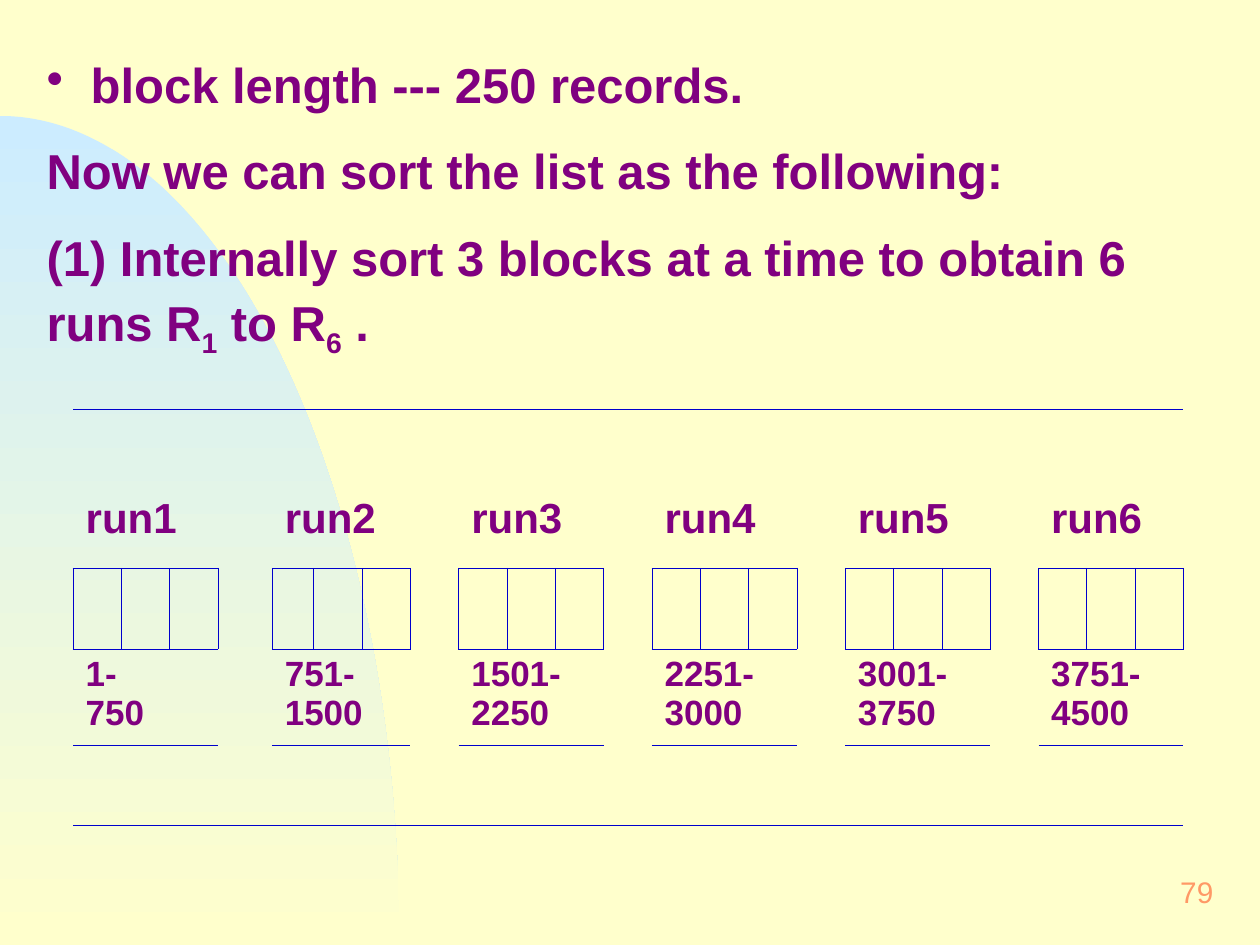
from lxml import etree
from math import cos, pi, sin
from pptx import Presentation
from pptx.dml.color import RGBColor
from pptx.enum.text import MSO_ANCHOR, PP_ALIGN
from pptx.oxml.ns import qn
from pptx.util import Inches, Pt

MIDDLE, TOP = MSO_ANCHOR.MIDDLE, MSO_ANCHOR.TOP
LEFT, RIGHT = PP_ALIGN.LEFT, PP_ALIGN.RIGHT
FONT = "Arial"
COLORS = {"page": "FFFFCC", "sky": "CCECFF", "text": "800080",
          "number": "FF9966", "line": "0000CC"}
W, H = 10, 7.5
RUNS = 6
BLOCKS = 3                      # blocks in each run
STEP = BLOCKS + 1               # one run and the gap after it
COLS = RUNS * STEP - 1
LABEL_ROW, BLOCK_ROW, RANGE_ROW, LAST_ROW = 1, 2, 3, 4
ROW_HEIGHTS = [0.63, 0.63, 0.64, 0.77, 0.63]
RANGES = ["1-\v750", "751-1500", "1501-2250", "2251-3000", "3001-3750", "3751-4500"]


def rgb(name):
    return RGBColor.from_string(COLORS[name])


def style(p, size, color="text", bold=True):
    for r in p.runs:
        r.font.name, r.font.size, r.font.bold = FONT, Pt(size), bold
        r.font.color.rgb = rgb(color)


def add_text_box(slide, left, top, width, height, anchor=TOP):
    tf = slide.shapes.add_textbox(*map(Inches, (left, top, width, height))).text_frame
    tf.word_wrap = True
    tf.vertical_anchor = anchor
    tf.margin_left = tf.margin_right = Inches(0.12)
    tf.margin_top = tf.margin_bottom = Inches(0.06)
    return tf


def add_arc(slide, rx, ry, steps=90):
    """Quarter ellipse centred on the bottom left corner of the slide."""
    arc = [(rx * sin(a), H - ry * cos(a))
           for a in (pi / 2 * i / steps for i in range(steps + 1))]
    builder = slide.shapes.build_freeform(0, Inches(H), scale=1.0)
    builder.add_line_segments([(Inches(x), Inches(y)) for x, y in arc])
    s = builder.convert_to_shape()
    s.shadow.inherit = False
    s.line.fill.background()
    s.fill.gradient()
    s.fill.gradient_angle = 270
    for stop, name, place in zip(s.fill.gradient_stops, ("sky", "page"), (0, 1)):
        stop.color.rgb, stop.position = rgb(name), place


def add_bullet(p, indent):
    pPr = p._p.get_or_add_pPr()
    pPr.set("marL", str(Inches(indent)))
    pPr.set("indent", str(-Inches(indent)))
    color = etree.SubElement(pPr, qn("a:buClr"))
    etree.SubElement(color, qn("a:srgbClr"), val=COLORS["text"])
    etree.SubElement(pPr, qn("a:buChar"), char="•")


def add_body(slide):
    tf = add_text_box(slide, 0.25, 0.33, 9.58, 2.59)
    paragraphs = [
        ["block length --- 250 records."],
        ["Now we can sort the list as the following:"],
        ["(1) Internally sort 3 blocks at a time to obtain 6 runs R", "1", " to R", "6", " ."],
    ]
    for i, parts in enumerate(paragraphs):
        p = tf.paragraphs[0] if i == 0 else tf.add_paragraph()
        p.line_spacing = 1.1
        if i == 0:
            add_bullet(p, 0.35)
        else:
            p.space_before = Pt(12.2)
        for j, part in enumerate(parts):
            r = p.add_run()
            r.text = part
            if j % 2:           # every second part is a subscript
                r.font._element.set("baseline", "-25000")
        style(p, 28)


def cell_edges(row, col):
    in_run = col % STEP < BLOCKS
    if row == 0:
        return "T"
    if row == LABEL_ROW:
        return "B" if in_run else ""
    if row == BLOCK_ROW:
        return "LRTB" if in_run else "LR"
    if row == RANGE_ROW:
        return "T" if in_run else ""
    return "B"


def set_borders(cell, edges):
    tcPr = cell._tc.get_or_add_tcPr()
    for edge in edges:
        ln = etree.SubElement(tcPr, qn("a:ln" + edge), w=str(Pt(0.45)))
        fill = etree.SubElement(ln, qn("a:solidFill"))
        etree.SubElement(fill, qn("a:srgbClr"), val=COLORS["line"])


def fill_run_cell(table, row, col, text, size):
    cell = table.cell(row, col)
    cell.merge(table.cell(row, col + BLOCKS - 1))
    cell.text = text
    for p in cell.text_frame.paragraphs:
        style(p, size)


def add_runs_table(slide):
    width = 8.82
    frame = slide.shapes.add_table(len(ROW_HEIGHTS), COLS, Inches(0.58), Inches(3.25),
                                   Inches(width), Inches(sum(ROW_HEIGHTS)))
    table = frame.table
    table.first_row = table.horz_banding = False
    # "No Style, No Grid"
    style_id = next(frame._element.iter(qn("a:tableStyleId")))
    style_id.text = "{2D5ABB26-0587-4C30-8999-92F81FD0307C}"

    for column in table.columns:
        column.width = Inches(width / COLS)
    # The first gap is wider, at the cost of the block after it
    table.columns[BLOCKS].width = Inches(0.43)
    table.columns[STEP].width = Inches(0.33)
    for row, height in zip(table.rows, ROW_HEIGHTS):
        row.height = Inches(height)

    for row in range(len(ROW_HEIGHTS)):
        for col in range(COLS):
            cell = table.cell(row, col)
            set_borders(cell, cell_edges(row, col))
            cell.fill.background()
            cell.margin_left = cell.margin_right = Inches(0.1)
            cell.margin_top = cell.margin_bottom = Inches(0.05)

    for i, text in enumerate(RANGES):
        fill_run_cell(table, LABEL_ROW, i * STEP, f"run{i + 1}", 24)
        fill_run_cell(table, RANGE_ROW, i * STEP, text, 20)


def add_page_number(slide):
    tf = add_text_box(slide, 7.67, 6.83, 2.08, 0.5, MIDDLE)
    p = tf.paragraphs[0]
    p.text = "79"
    p.alignment = RIGHT
    style(p, 17, "number", bold=False)


def main():
    prs = Presentation()
    prs.slide_width, prs.slide_height = Inches(W), Inches(H)
    slide = prs.slides.add_slide(prs.slide_layouts[6])
    slide.background.fill.solid()
    slide.background.fill.fore_color.rgb = rgb("page")

    add_arc(slide, 3.17, 6.58)
    add_page_number(slide)
    add_body(slide)
    add_runs_table(slide)
    prs.save("out.pptx")


if __name__ == "__main__":
    main()
